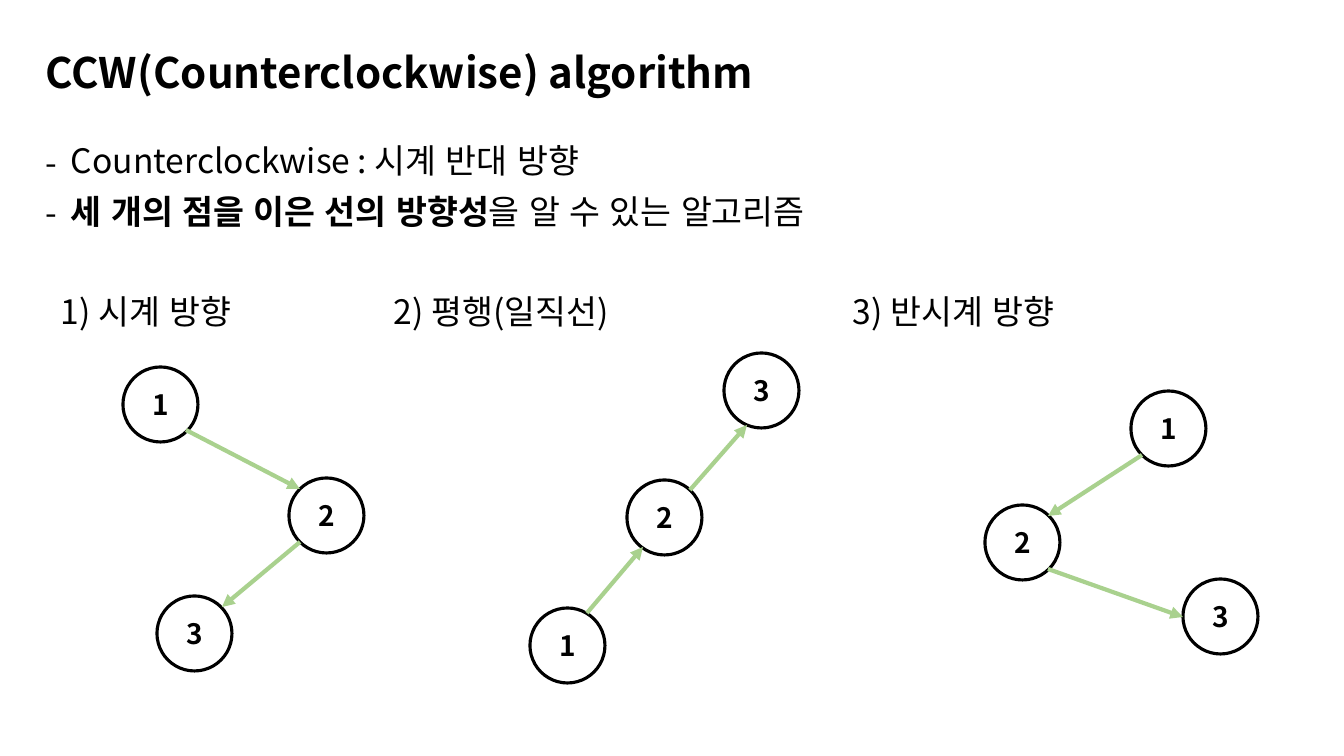
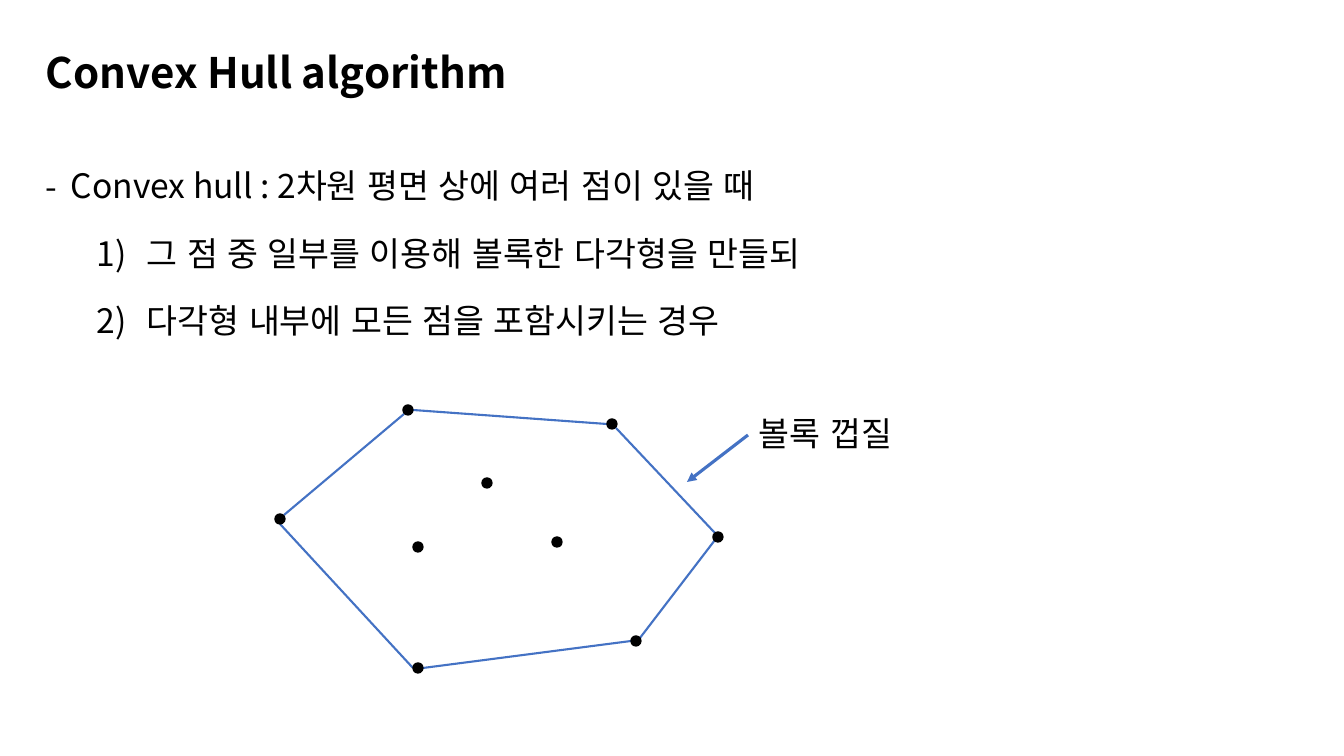
from dataclasses import dataclass
from lxml.etree import SubElement
from pptx import Presentation
from pptx.dml.color import RGBColor
from pptx.enum.lang import MSO_LANGUAGE_ID as LANG
from pptx.enum.shapes import MSO_CONNECTOR as LINK, MSO_SHAPE as SHAPE
from pptx.enum.text import MSO_ANCHOR as ANCHOR, PP_ALIGN as ALIGN
from pptx.oxml.ns import qn
from pptx.util import Pt

PX = 12192000 / 1344  # EMU in one pixel


def px(n):
    return round(n * PX)


def rgb(value):
    return RGBColor.from_string(value)


@dataclass(frozen=True)
class Theme:
    font: str = "Noto Sans CJK KR"
    ink: str = "000000"
    paper: str = "FFFFFF"
    green: str = "A9D18E"
    blue: str = "4472C4"
    title: int = 30
    body: int = 24
    node: int = 20


T = Theme()


def write(p, text, size=T.body, bold=False, color=T.ink):
    """Add one formatted run to a paragraph."""
    r = p.add_run()
    r.text = text
    r.font.size, r.font.bold, r.font.name = Pt(size), bold, T.font
    r.font.color.rgb = rgb(color)
    r.font.language_id = LANG.KOREAN
    SubElement(r.font._element, qn("a:ea"), typeface=T.font)


class Deck:
    def __init__(self):
        self.prs = Presentation()
        self.prs.slide_width, self.prs.slide_height = px(1344), px(756)

    def slide(self, title):
        self.s = self.prs.slides.add_slide(self.prs.slide_layouts[6])
        self.text(36, 35, 1271, 80, [title], anchor=ANCHOR.MIDDLE,
                  size=T.title, bold=True)

    def text(self, x, y, w, h, lines, anchor=ANCHOR.TOP, spacing=0.9,
             before=(), bullets=(), **fmt):
        """Each line is a string or a list of (text, bold) parts."""
        tf = self.s.shapes.add_textbox(px(x), px(y), px(w), px(h)).text_frame
        tf.word_wrap, tf.vertical_anchor = True, anchor
        for i, line in enumerate(lines):
            p = tf.add_paragraph() if i else tf.paragraphs[0]
            p.line_spacing = spacing
            if before:
                p.space_before = Pt(before[i])
            if bullets:
                self.bullet(p, bullets[i])
            if isinstance(line, str):
                write(p, line, **fmt)
            else:
                for part, bold in line:
                    write(p, part, bold=bold, **fmt)

    def bullet(self, p, kind):
        pPr = p._p.get_or_add_pPr()
        left, hang = (25, 25) if kind == "-" else (101, 50)
        pPr.set("marL", str(px(left)))
        pPr.set("indent", str(-px(hang)))
        SubElement(pPr, qn("a:buFont"), typeface=T.font)
        if kind == "-":
            SubElement(pPr, qn("a:buChar"), char="-")
        else:
            SubElement(pPr, qn("a:buAutoNum"), type="arabicParenR")

    def circle(self, x, y, d, fill, weight, label=None):
        sp = self.s.shapes.add_shape(SHAPE.OVAL, px(x), px(y), px(d), px(d))
        sp.shadow.inherit = False
        sp.fill.solid()
        sp.fill.fore_color.rgb = rgb(fill)
        sp.line.color.rgb, sp.line.width = rgb(T.ink), Pt(weight)
        if label:
            sp.text_frame.vertical_anchor = ANCHOR.MIDDLE
            p = sp.text_frame.paragraphs[0]
            p.alignment = ALIGN.CENTER
            write(p, label, size=T.node, bold=True)

    def line(self, x1, y1, x2, y2, color, weight, head=None):
        cx = self.s.shapes.add_connector(LINK.STRAIGHT, px(x1), px(y1), px(x2), px(y2))
        cx.line.color.rgb, cx.line.width = rgb(color), Pt(weight)
        spPr = cx._element.spPr
        if head:
            SubElement(spPr.find(qn("a:ln")), qn("a:tailEnd"), type=head)
        SubElement(spPr, qn("a:effectLst"))

    def turn(self, heading, x, nodes, arrows):
        """A heading over three numbered nodes joined by arrows."""
        self.text(x, 291, 330, 50, [heading])
        for n, (left, top) in enumerate(nodes, 1):
            self.circle(left, top, 75, T.paper, 2.25, label=str(n))
        for ends in arrows:
            self.line(*ends, T.green, 3, head="triangle")


deck = Deck()

# Slide 1: direction of three points
deck.slide("CCW(Counterclockwise) algorithm")
deck.text(36, 140, 1271, 110, [
    "Counterclockwise : 시계 반대 방향",
    [("세 개의 점을 이은 선의 방향성", True), ("을 알 수 있는 알고리즘", False)],
], before=(10, 10), bullets="--")
deck.turn("1) 시계 방향", 51,
          [(123, 367), (289, 478), (157, 596)],
          [(186, 430, 300, 489), (300, 542, 222, 607)])
deck.turn("2) 평행(일직선)", 384,
          [(530, 608), (627, 480), (724, 353)],
          [(587, 613, 643, 547), (690, 490, 747, 425)])
deck.turn("3) 반시계 방향", 843,
          [(1131, 391), (985, 505), (1183, 579)],
          [(1142, 455, 1048, 516), (1048, 569, 1183, 617)])

# Slide 2: convex hull
deck.slide("Convex Hull algorithm")
deck.text(36, 140, 1271, 211, [
    "Convex hull : 2차원 평면 상에 여러 점이 있을 때",
    "그 점 중 일부를 이용해 볼록한 다각형을 만들되",
    "다각형 내부에 모든 점을 포함시키는 경우",
], spacing=1.5, before=(10, 5, 5), bullets="-11")

# Hull edges, then the points over them
for edge in [(413, 410, 607, 424), (284, 515, 404, 414), (616, 428, 715, 533),
             (423, 668, 631, 641), (280, 524, 413, 668), (640, 638, 715, 540)]:
    deck.line(*edge, T.blue, 1.5)
hull = [(280, 519), (408, 410), (612, 424), (718, 537), (636, 641), (418, 668)]
inner = [(418, 547), (487, 483), (557, 542)]
for x, y in hull + inner:
    deck.circle(x - 5, y - 5, 10, T.ink, 1)

# Callout
deck.line(748, 435, 687, 482, T.blue, 2.25, head="triangle")
deck.text(749, 388, 206, 81, ["볼록 껍질"], spacing=1.5)

deck.prs.save("out.pptx")
